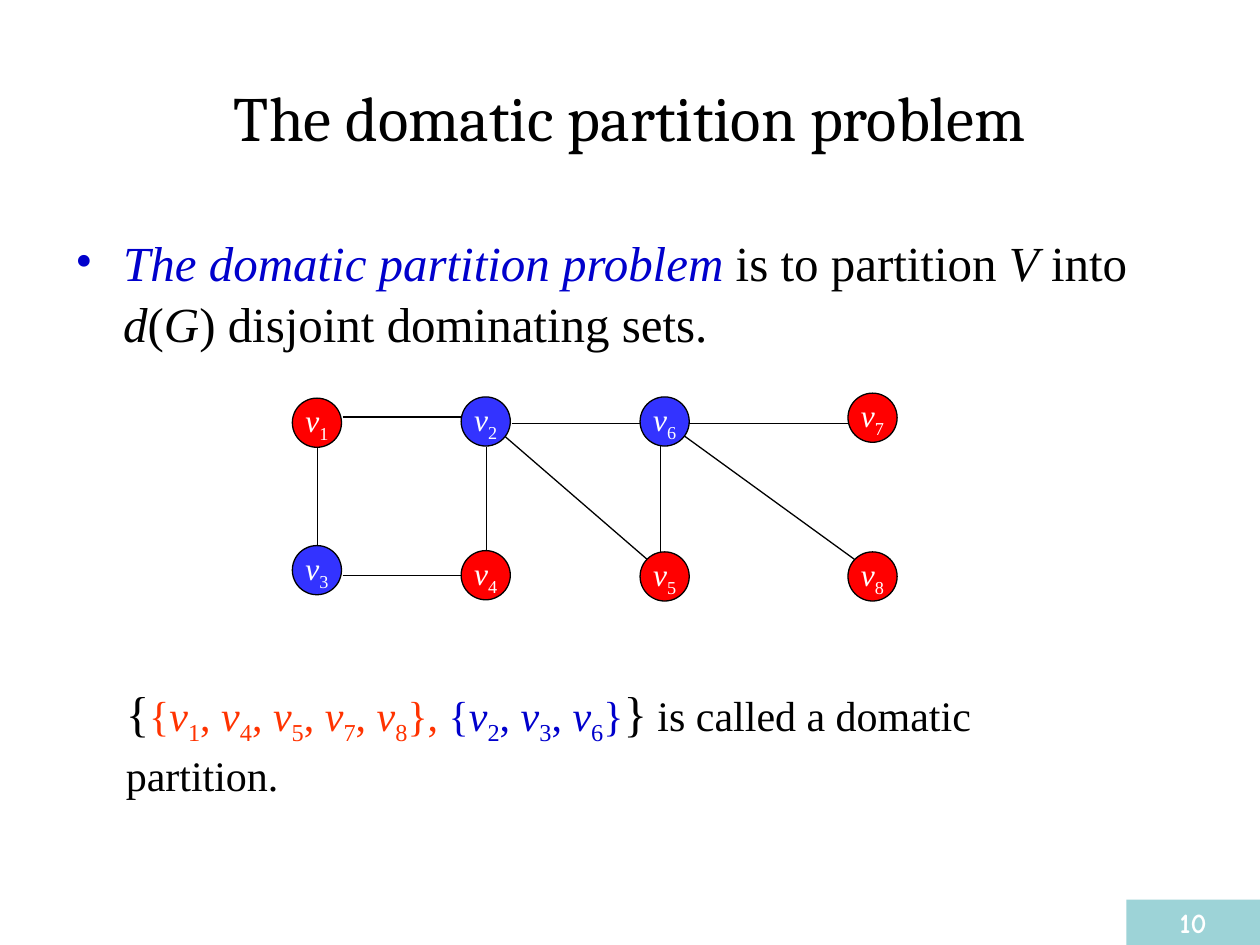
from lxml.etree import SubElement
from pptx import Presentation
from pptx.dml.color import RGBColor
from pptx.enum.shapes import MSO_CONNECTOR, MSO_SHAPE
from pptx.enum.text import MSO_ANCHOR, PP_ALIGN
from pptx.oxml.ns import qn
from pptx.util import Inches, Pt

BLACK = RGBColor(0x00, 0x00, 0x00)
WHITE = RGBColor(0xFF, 0xFF, 0xFF)
TERM_BLUE = RGBColor(0x00, 0x00, 0xCC)
SET_RED = RGBColor(0xFF, 0x33, 0x00)
NODE_RED = RGBColor(0xFF, 0x00, 0x00)
NODE_BLUE = RGBColor(0x33, 0x33, 0xFF)
TEAL = RGBColor(0x9D, 0xD3, 0xD7)

SERIF = "Times New Roman"
NODE_SIZE = 0.39

# Vertex number: left and top within the graph, and fill
VERTICES = {
    1: (0, 0.04, NODE_RED), 2: (1.34, 0.03, NODE_BLUE),
    3: (0, 1.21, NODE_BLUE), 4: (1.34, 1.25, NODE_RED),
    5: (2.76, 1.26, NODE_RED), 6: (2.76, 0.03, NODE_BLUE),
    7: (4.41, 0, NODE_RED), 8: (4.41, 1.26, NODE_RED),
}
# Edge ends within the graph
EDGES = [
    (0.40, 0.19, 1.34, 0.19),  # v1 to v2
    (0.20, 0.40, 0.20, 1.27),  # v1 to v3
    (0.40, 1.45, 1.34, 1.45),  # v3 to v4
    (1.54, 0.43, 1.54, 1.30),  # v2 to v4
    (1.66, 0.32, 2.84, 1.34),  # v2 to v5
    (1.74, 0.24, 2.84, 0.24),  # v2 to v6
    (2.92, 0.39, 2.92, 1.26),  # v6 to v5
    (3.15, 0.24, 4.41, 0.24),  # v6 to v7
    (3.07, 0.31, 4.49, 1.34),  # v6 to v8
]


def add_run(paragraph, text, subscript=False, **formats):
    run = paragraph.add_run()
    run.text = text
    run.font.color.rgb = formats.pop("color", BLACK)
    for name, value in formats.items():
        setattr(run.font, name, value)
    if subscript:
        run.font._element.set("baseline", "-25000")


def add_vertex_name(paragraph, number, **formats):
    add_run(paragraph, "v", italic=True, **formats)
    add_run(paragraph, str(number), subscript=True, **formats)


def add_vertex_set(paragraph, numbers, closing, **formats):
    add_run(paragraph, "{", **formats)
    for position, number in enumerate(numbers):
        if position:
            add_run(paragraph, ", ", **formats)
        add_vertex_name(paragraph, number, **formats)
    add_run(paragraph, closing, **formats)


def add_title(slide, left, top, width, height):
    title = slide.shapes.title
    place = {"left": left, "top": top, "width": width, "height": height}
    for name, value in place.items():
        setattr(title, name, Inches(value))
    title.text_frame.vertical_anchor = MSO_ANCHOR.MIDDLE
    heading = title.text_frame.paragraphs[0]
    heading.alignment = PP_ALIGN.CENTER
    add_run(heading, "The domatic partition problem", name="Cambria", size=Pt(36))


def add_text_paragraph(slide, left, top, width, height):
    box = slide.shapes.add_textbox(*map(Inches, (left, top, width, height)))
    box.text_frame.word_wrap = True
    paragraph = box.text_frame.paragraphs[0]
    paragraph.line_spacing = 1.05
    return paragraph


def add_definition(slide, left, top, width, height):
    definition = add_text_paragraph(slide, left, top, width, height)
    properties = definition._p.get_or_add_pPr()
    properties.set("marL", str(Inches(0.38)))
    properties.set("indent", str(Inches(-0.38)))
    bullet_color = SubElement(properties, qn("a:buClr"))
    SubElement(bullet_color, qn("a:srgbClr")).set("val", str(TERM_BLUE))
    SubElement(properties, qn("a:buFont")).set("typeface", SERIF)
    SubElement(properties, qn("a:buChar")).set("char", "•")
    wording = [
        ("The domatic partition problem", True, TERM_BLUE),
        (" is to partition ", False, BLACK), ("V", True, BLACK),
        (" into ", False, BLACK), ("d", True, BLACK), ("(", False, BLACK),
        ("G", True, BLACK), (") disjoint dominating sets.", False, BLACK),
    ]
    for text, italic, color in wording:
        add_run(definition, text, name=SERIF, size=Pt(28), italic=italic, color=color)


def add_graph(slide, left, top):
    # Edges lie behind the vertices
    for x1, y1, x2, y2 in EDGES:
        edge = slide.shapes.add_connector(
            MSO_CONNECTOR.STRAIGHT, Inches(left + x1), Inches(top + y1),
            Inches(left + x2), Inches(top + y2))
        edge.line.color.rgb = BLACK
        edge.line.width = Pt(0.75)
        SubElement(edge._element.spPr, qn("a:effectLst"))

    for number, (x, y, fill) in VERTICES.items():
        vertex = slide.shapes.add_shape(
            MSO_SHAPE.OVAL, Inches(left + x), Inches(top + y),
            Inches(NODE_SIZE), Inches(NODE_SIZE))
        vertex.shadow.inherit = False
        vertex.fill.solid()
        vertex.fill.fore_color.rgb = fill
        vertex.line.color.rgb = BLACK
        vertex.line.width = Pt(0.75)
        vertex.text_frame.word_wrap = False
        vertex.text_frame.vertical_anchor = MSO_ANCHOR.MIDDLE
        label = vertex.text_frame.paragraphs[0]
        label.alignment = PP_ALIGN.CENTER
        add_vertex_name(label, number, name=SERIF, size=Pt(18), color=WHITE)


def add_partition(slide, left, top, width, height):
    partition = add_text_paragraph(slide, left, top, width, height)
    outer = {"name": SERIF, "size": Pt(28)}
    inner = {"name": SERIF, "size": Pt(24)}
    add_run(partition, "{", **outer)
    add_vertex_set(partition, (1, 4, 5, 7, 8), "}, ", color=SET_RED, **inner)
    add_vertex_set(partition, (2, 3, 6), "}", color=TERM_BLUE, **inner)
    add_run(partition, "}", **outer)
    add_run(partition, " is called a domatic partition.", **inner)


def add_page_number(slide, left, top, width, height):
    band = slide.shapes.add_shape(
        MSO_SHAPE.RECTANGLE, *map(Inches, (left, top, width, height)))
    band.shadow.inherit = False
    band.fill.solid()
    band.fill.fore_color.rgb = TEAL
    band.line.fill.background()
    band.text_frame.vertical_anchor = MSO_ANCHOR.TOP
    number = band.text_frame.paragraphs[0]
    number.alignment = PP_ALIGN.CENTER
    add_run(number, "10", name="Comic Neue", size=Pt(16), bold=True, color=WHITE)


def main():
    presentation = Presentation()
    presentation.slide_width = Inches(10)
    presentation.slide_height = Inches(7.5)
    slide = presentation.slides.add_slide(presentation.slide_layouts[5])
    add_title(slide, 0.5, 0.3, 9, 1.25)
    add_definition(slide, 0.5, 1.77, 9, 1.1)
    add_graph(slide, 2.32, 3.12)
    add_partition(slide, 0.9, 5.34, 8.03, 1.01)
    add_page_number(slide, 8.94, 7.14, 1.06, 0.36)
    presentation.save("out.pptx")


if __name__ == "__main__":
    main()
